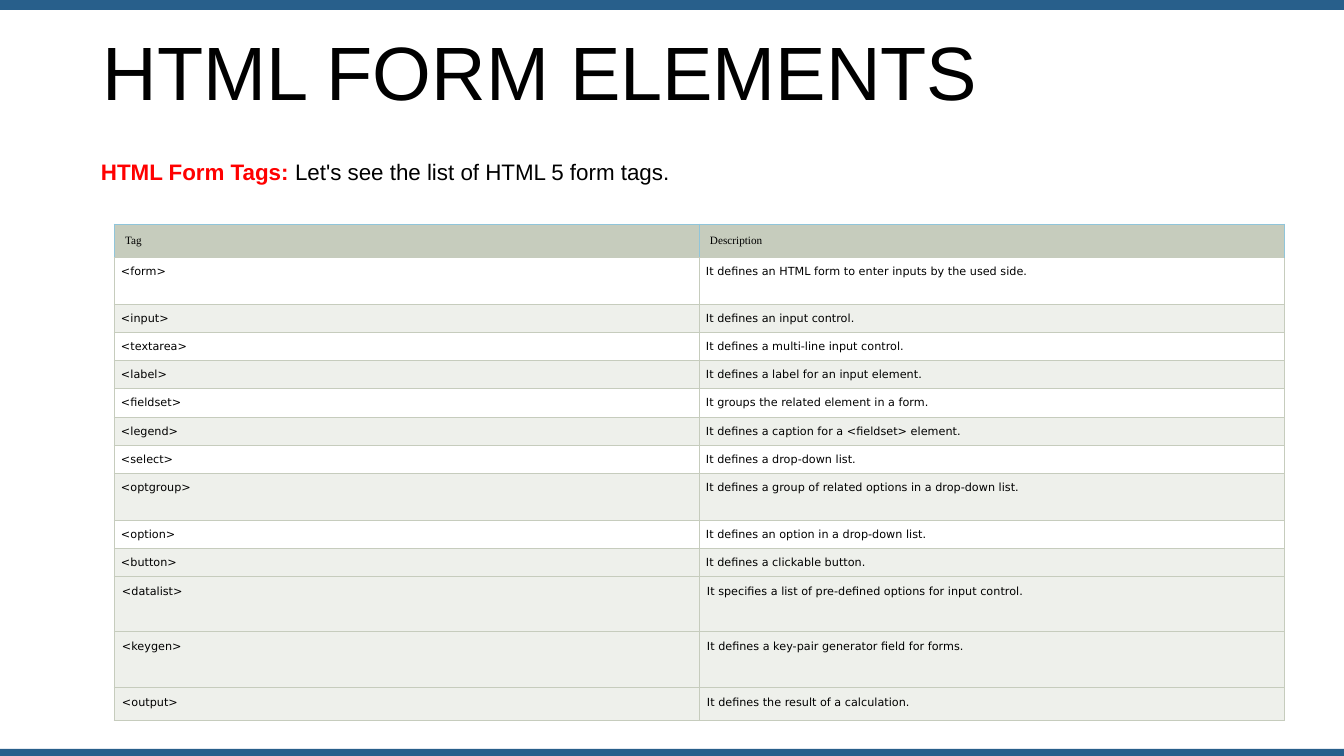
from pptx import Presentation
from pptx.dml.color import RGBColor
from pptx.enum.shapes import MSO_SHAPE
from pptx.oxml import parse_xml
from pptx.oxml.ns import nsdecls
from pptx.util import Emu, Pt

EMU_PER_PX = 914400 / 100.8

BLUE = RGBColor(0x28, 0x5F, 0x8B)
SKY = RGBColor(0x90, 0xC5, 0xDA)
SAGE = RGBColor(0xC6, 0xCC, 0xBD)
PALE = RGBColor(0xEE, 0xF0, 0xEB)
WHITE = RGBColor(0xFF, 0xFF, 0xFF)
BLACK = RGBColor(0x00, 0x00, 0x00)
RED = RGBColor(0xFF, 0x00, 0x00)

HEADER = ("Tag", "Description")
HEADER_HEIGHT = 34
COLUMN_WIDTH = 585

# tag, description, row height, fill, inset
FORM_TAGS = [
    ("<form>", "It defines an HTML form to enter inputs by the used side.", 47, WHITE, 7),
    ("<input>", "It defines an input control.", 28, PALE, 7),
    ("<textarea>", "It defines a multi-line input control.", 28, WHITE, 7),
    ("<label>", "It defines a label for an input element.", 28, PALE, 7),
    ("<fieldset>", "It groups the related element in a form.", 29, WHITE, 7),
    ("<legend>", "It defines a caption for a <fieldset> element.", 28, PALE, 7),
    ("<select>", "It defines a drop-down list.", 28, WHITE, 7),
    ("<optgroup>", "It defines a group of related options in a drop-down list.", 47, PALE, 7),
    ("<option>", "It defines an option in a drop-down list.", 28, WHITE, 7),
    ("<button>", "It defines a clickable button.", 28, PALE, 7),
    ("<datalist>", "It specifies a list of pre-defined options for input control.", 55, PALE, 8),
    ("<keygen>", "It defines a key-pair generator field for forms.", 56, PALE, 8),
    ("<output>", "It defines the result of a calculation.", 33, PALE, 8),
]


def px(length):
    return Emu(round(length * EMU_PER_PX))


def box(left, top, width, height):
    return px(left), px(top), px(width), px(height)


def style_run(run, font_name, size, color, bold=False):
    run.font.name = font_name
    run.font.size = Pt(size)
    run.font.color.rgb = color
    run.font.bold = bold


def add_bar(slide, top, height):
    bar = slide.shapes.add_shape(MSO_SHAPE.RECTANGLE, *box(0, top, 1344, height))
    bar.shadow.inherit = False
    bar.fill.solid()
    bar.fill.fore_color.rgb = BLUE
    bar.line.fill.background()


def add_text(slide, bounds, size, parts):
    frame = slide.shapes.add_textbox(*box(*bounds)).text_frame
    frame.word_wrap = True
    frame.margin_left = frame.margin_top = px(1)
    frame.margin_right = frame.margin_bottom = 0
    for text, color, bold in parts:
        run = frame.paragraphs[0].add_run()
        run.text = text
        style_run(run, "Arial", size, color, bold)


def add_borders(cell, colors):
    properties = cell._tc.get_or_add_tcPr()
    for side, color in zip("LRTB", colors):
        properties.append(parse_xml(
            f'<a:ln{side} {nsdecls("a")} w="{Pt(0.75)}"><a:solidFill>'
            f'<a:srgbClr val="{color}"/></a:solidFill></a:ln{side}>'))


def fill_cell(cell, text, font_name, inset, fill, borders):
    cell.text_frame.text = text
    cell.margin_left, cell.margin_top = inset
    cell.margin_right = cell.margin_bottom = 0
    style_run(cell.text_frame.paragraphs[0].runs[0], font_name, 8, BLACK)
    add_borders(cell, borders)
    cell.fill.solid()
    cell.fill.fore_color.rgb = fill


def add_tag_table(slide):
    heights = [HEADER_HEIGHT] + [height for _, _, height, _, _ in FORM_TAGS]
    bounds = box(114, 224, COLUMN_WIDTH * len(HEADER), sum(heights))
    table = slide.shapes.add_table(len(heights), len(HEADER), *bounds).table
    table.first_row = table.horz_banding = False
    for column in table.columns:
        column.width = px(COLUMN_WIDTH)
    for row, height in zip(table.rows, heights):
        row.height = px(height)
    for column, heading in enumerate(HEADER):
        fill_cell(table.cell(0, column), heading, "Times New Roman",
                  (px(11), px(10)), SAGE, (SKY, SKY, SKY, SAGE))
    for row, (tag, description, _, fill, inset) in enumerate(FORM_TAGS, 1):
        for column, text in enumerate((tag, description)):
            fill_cell(table.cell(row, column), text, "DejaVu Sans",
                      (px(inset), px(inset)), fill, (SAGE,) * 4)


def main():
    deck = Presentation()
    deck.slide_width, deck.slide_height = px(1344), px(756)
    slide = deck.slides.add_slide(deck.slide_layouts[6])
    add_bar(slide, 0, 10)
    add_bar(slide, 749, 7)
    add_text(slide, (102, 24, 1141, 94), 54, [("HTML FORM ELEMENTS", BLACK, False)])
    add_text(slide, (100, 157, 574, 29), 16, [
        ("HTML Form Tags: ", RED, True),
        ("Let's see the list of HTML 5 form tags.", BLACK, False),
    ])
    add_tag_table(slide)
    deck.save("out.pptx")


if __name__ == "__main__":
    main()
